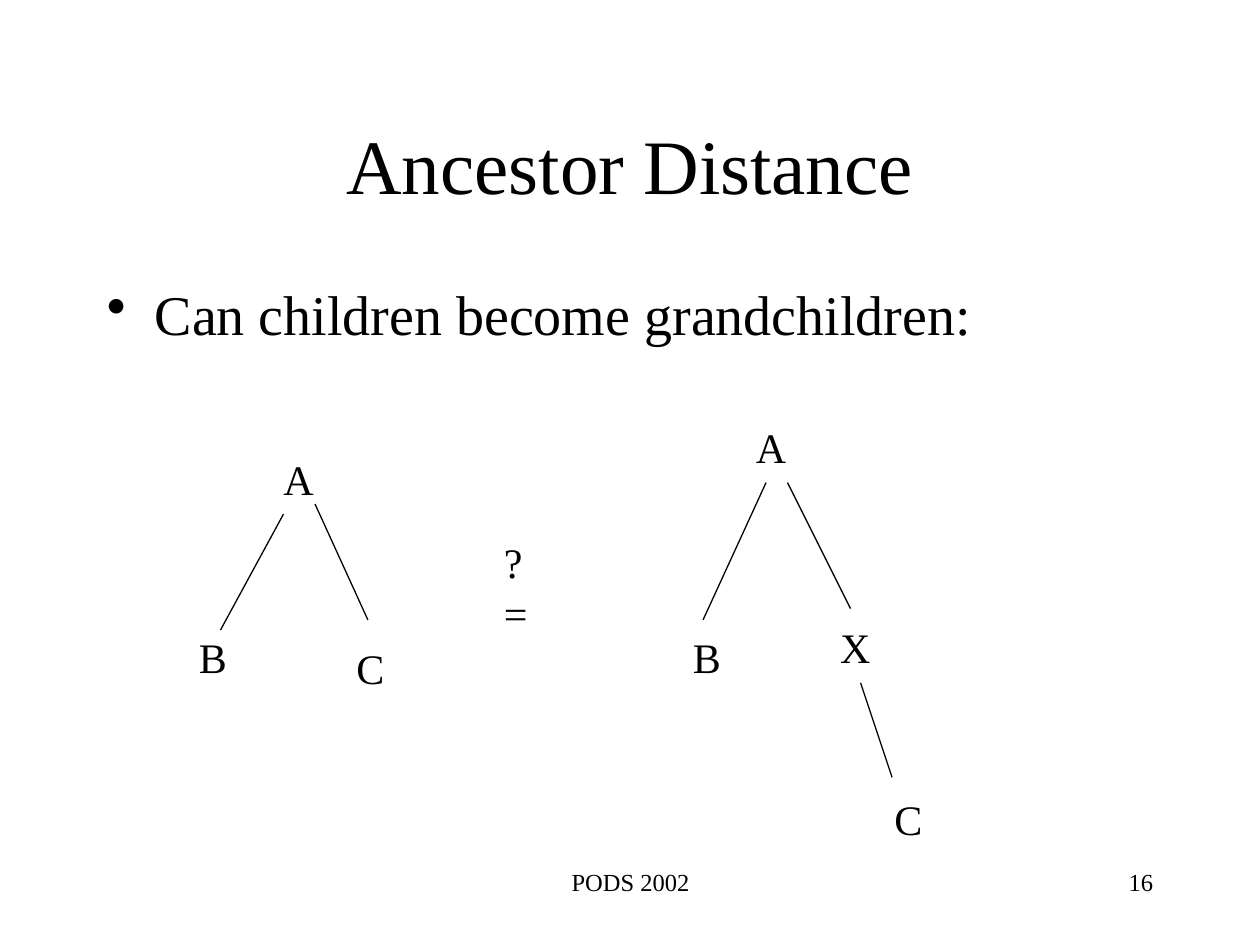
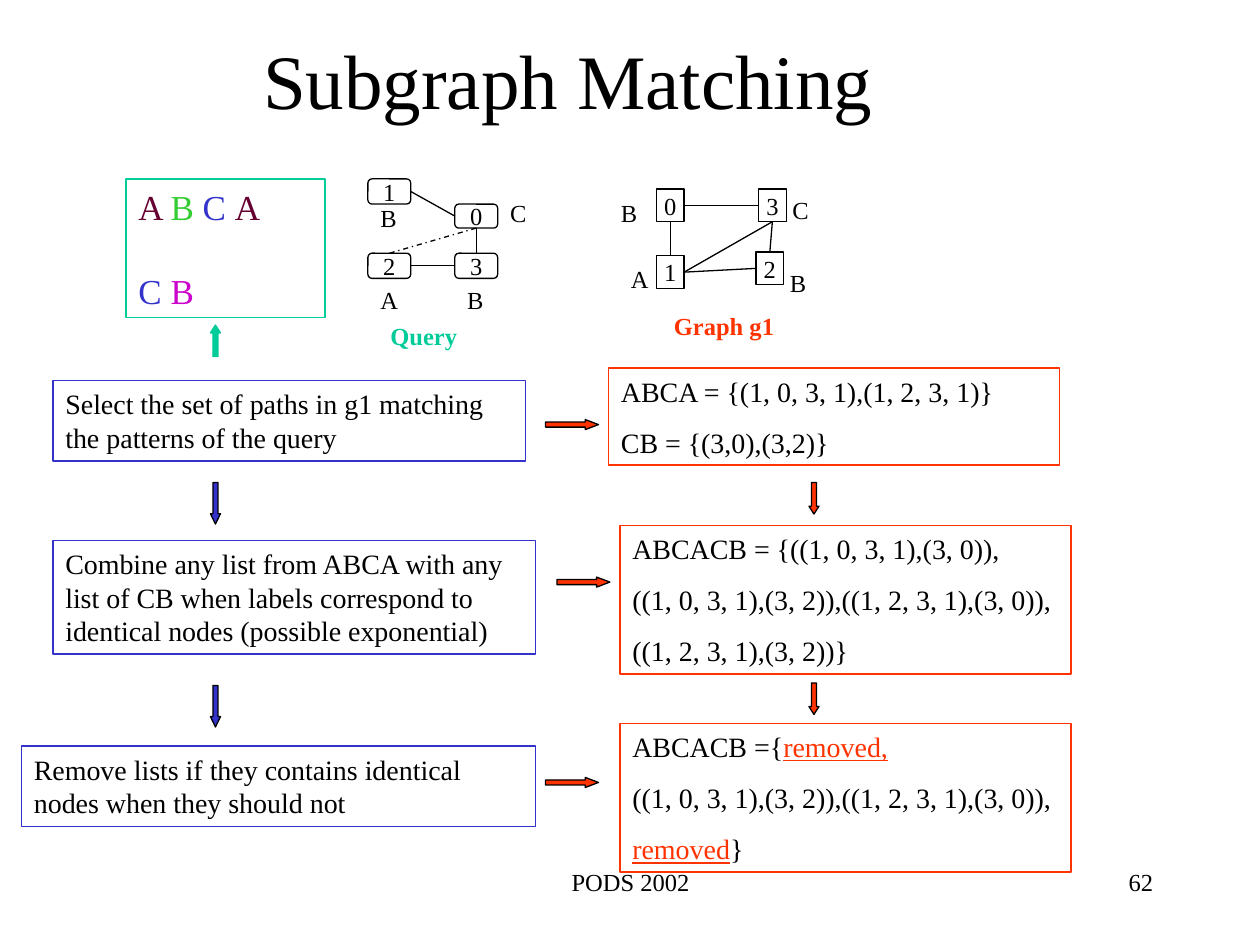
"""Build two slides on tree distance and subgraph matching."""
from dataclasses import dataclass

from lxml import etree
from pptx import Presentation
from pptx import util as u
from pptx.dml.color import RGBColor
from pptx.enum import dml, shapes, text
from pptx.oxml.ns import qn

EMU_PER_PX = 9144
TOP, LEFT, BOTTOM, RIGHT = range(4)
KIND = shapes.MSO_SHAPE


@dataclass(frozen=True)
class Theme:
    font: str = "Times New Roman"
    black: str = "000000"
    white: str = "FFFFFF"
    red: str = "FF3300"
    teal: str = "00CC99"
    blue: str = "3333CC"
    green: str = "33CC33"
    maroon: str = "660033"
    magenta: str = "CC00CC"
    title: int = 44
    body: int = 32
    node: int = 24
    pattern: int = 20
    step: int = 16
    small: int = 14
    line: float = 0.75


THEME = Theme()


def px(*lengths):
    return [u.Emu(length * EMU_PER_PX) for length in lengths]


def rgb(value):
    return RGBColor.from_string(value)


def write(shape, paragraphs, size=THEME.small, color=THEME.black, bold=False,
          align="LEFT", anchor="TOP", before=0, wrap=True, grow=False, inset=(10, 5)):
    """Fill a shape with paragraphs, each a string or a list of (text, color, underline)."""
    frame = shape.text_frame
    frame.word_wrap = wrap
    frame.auto_size = text.MSO_AUTO_SIZE.SHAPE_TO_FIT_TEXT if grow else text.MSO_AUTO_SIZE.NONE
    frame.vertical_anchor = getattr(text.MSO_ANCHOR, anchor)
    frame.margin_left = frame.margin_right = px(inset[0])[0]
    frame.margin_top = frame.margin_bottom = px(inset[1])[0]
    if isinstance(paragraphs, str):
        paragraphs = [paragraphs]
    for index, content in enumerate(paragraphs):
        paragraph = frame.add_paragraph() if index else frame.paragraphs[0]
        paragraph.alignment = getattr(text.PP_ALIGN, align)
        paragraph.space_before = u.Pt(before)
        runs = [(content, color, False)] if isinstance(content, str) else content
        for words, run_color, underline in runs:
            run = paragraph.add_run()
            run.text = words
            run.font.name = THEME.font
            run.font.size = u.Pt(size)
            run.font.bold = bold
            run.font.underline = underline
            run.font.color.rgb = rgb(run_color)
    return shape


def add_text(slide, box, paragraphs, **style):
    return write(slide.shapes.add_textbox(*px(*box)), paragraphs, **style)


def add_outline(slide, kind, box, line, fill=None):
    shape = slide.shapes.add_shape(kind, *px(*box))
    shape.shadow.inherit = False
    if fill:
        shape.fill.solid()
        shape.fill.fore_color.rgb = rgb(fill)
    else:
        shape.fill.background()
    shape.line.color.rgb = rgb(line)
    shape.line.width = u.Pt(THEME.line)
    return shape


def add_edge(slide, start=(0, 0), end=(0, 0)):
    edge = slide.shapes.add_connector(shapes.MSO_CONNECTOR.STRAIGHT, *px(*start, *end))
    edge.line.color.rgb = rgb(THEME.black)
    edge.line.width = u.Pt(THEME.line)
    etree.SubElement(edge._element.spPr, qn("a:effectLst"))
    return edge


def join(slide, first, first_side, second, second_side, dashed=False):
    edge = add_edge(slide)
    edge.begin_connect(first, first_side)
    edge.end_connect(second, second_side)
    if dashed:
        edge.line.dash_style = dml.MSO_LINE.DASH_DOT


def add_block_arrow(slide, kind, box, fill, line=THEME.black):
    """Draw a block arrow whose head takes a quarter of its length."""
    arrow = add_outline(slide, kind, box, line, fill)
    arrow.adjustments[0] = 0.5
    arrow.adjustments[1] = max(box[2:]) / (4 * min(box[2:]))


def add_numbered_nodes(slide, kind, boxes):
    return {number: write(add_outline(slide, kind, box, THEME.black), number,
                          align="CENTER", anchor="MIDDLE", wrap=False, inset=(0, 0))
            for number, box in boxes.items()}


def add_labels(slide, labels):
    for label, left, top, width in labels:
        add_text(slide, (left, top, width, 33), label, grow=True)


def add_bullet(slide, box, words):
    shape = add_text(slide, box, words, size=THEME.body, before=8)
    properties = shape.text_frame.paragraphs[0]._p.get_or_add_pPr()
    indent = px(38)[0]
    properties.set("marL", str(indent))
    properties.set("indent", str(-indent))
    etree.SubElement(properties, qn("a:buChar"), char="•")


def add_slide(presentation, title, title_box, number):
    slide = presentation.slides.add_slide(presentation.slide_layouts[6])
    slide.background.fill.solid()
    slide.background.fill.fore_color.rgb = rgb(THEME.white)
    add_text(slide, title_box, title, size=THEME.title, align="CENTER", anchor="MIDDLE")
    add_text(slide, (342, 683, 317, 50), "PODS 2002", align="CENTER")
    add_text(slide, (717, 683, 208, 50), number, align="RIGHT")
    return slide


def build_ancestor_slide(presentation):
    slide = add_slide(presentation, "Ancestor Distance", (75, 67, 850, 125), "16")
    add_bullet(slide, (75, 217, 850, 450), "Can children become grandchildren:")
    for start, end in (((225, 408), (175, 500)), ((250, 400), (292, 492)),
                       ((608, 383), (558, 492)), ((625, 383), (675, 483)),
                       ((683, 542), (708, 617))):
        add_edge(slide, start, end)
    for label, left, top in (("A", 215, 355), ("B", 148, 496), ("C", 273, 505),
                             ("A", 590, 330), ("B", 540, 496), ("X", 657, 488),
                             ("C", 700, 625)):
        add_text(slide, (left, top, 44 if label in "AX" else 42, 50), label,
                 size=THEME.node, wrap=False, grow=True)
    add_text(slide, (390, 421, 39, 90), ["?", "="], size=THEME.node, wrap=False, grow=True)


def add_query(slide):
    nodes = add_numbered_nodes(slide, KIND.ROUNDED_RECTANGLE, {
        "1": (292, 142, 34, 20), "0": (361, 162, 34, 19),
        "2": (292, 201, 34, 20), "3": (361, 201, 34, 20)})
    join(slide, nodes["0"], BOTTOM, nodes["2"], TOP, dashed=True)
    join(slide, nodes["0"], BOTTOM, nodes["3"], TOP)
    join(slide, nodes["2"], RIGHT, nodes["3"], LEFT)
    join(slide, nodes["0"], LEFT, nodes["1"], RIGHT)
    add_labels(slide, (("B", 292, 156, 46), ("C", 395, 152, 46),
                       ("A", 292, 221, 46), ("B", 361, 221, 47)))
    add_text(slide, (300, 250, 97, 34), "Query", color=THEME.teal, bold=True, grow=True)


def add_graph(slide):
    nodes = add_numbered_nodes(slide, KIND.RECTANGLE, {
        "0": (521, 150, 22, 26), "3": (602, 150, 22, 26),
        "2": (600, 200, 22, 26), "1": (521, 203, 22, 26)})
    join(slide, nodes["0"], BOTTOM, nodes["1"], TOP)
    join(slide, nodes["3"], BOTTOM, nodes["2"], TOP)
    join(slide, nodes["1"], RIGHT, nodes["2"], LEFT)
    join(slide, nodes["0"], RIGHT, nodes["3"], LEFT)
    join(slide, nodes["1"], RIGHT, nodes["3"], BOTTOM)
    add_labels(slide, (("B", 483, 152, 30), ("A", 491, 205, 30),
                       ("B", 617, 208, 31), ("C", 619, 150, 30)))
    add_text(slide, (525, 242, 147, 33), "Graph g1", color=THEME.red, bold=True, grow=True)


def add_patterns(slide):
    box = add_outline(slide, KIND.RECTANGLE, (100, 142, 158, 110), THEME.teal)
    write(box, [[("A ", THEME.maroon, False), ("B ", THEME.green, False),
                 ("C ", THEME.blue, False), ("A", THEME.maroon, False)],
                [("C ", THEME.blue, False), ("B", THEME.magenta, False)]],
          size=THEME.pattern)
    box.text_frame.paragraphs[1].space_before = u.Pt(24)


def add_steps(slide):
    middle = "((1, 0, 3, 1),(3, 2)),((1, 2, 3, 1),(3, 0)),"
    steps = (
        ((42, 302, 375, 64), THEME.blue,
         "Select the set of paths in g1 matching the patterns of the query"),
        ((42, 429, 383, 90), THEME.blue,
         "Combine any list from ABCA with any list of CB when labels correspond to "
         "identical nodes (possible exponential)"),
        ((17, 592, 408, 64), THEME.blue,
         "Remove lists if they contains identical nodes when they should not"),
        ((483, 292, 358, 77), THEME.red,
         ["ABCA = {(1, 0, 3, 1),(1, 2, 3, 1)}", "CB = {(3,0),(3,2)}"]),
        ((492, 417, 358, 118), THEME.red,
         ["ABCACB = {((1, 0, 3, 1),(3, 0)),", middle, "((1, 2, 3, 1),(3, 2))}"]),
        ((492, 574, 358, 118), THEME.red,
         [[("ABCACB ={", THEME.black, False), ("removed,", THEME.red, True)],
          middle,
          [("removed", THEME.red, True), ("}", THEME.black, False)]]),
    )
    for box, line, words in steps:
        write(add_outline(slide, KIND.RECTANGLE, box, line), words,
              size=THEME.step, before=10, grow=True)
    for left, top in ((433, 333), (442, 458), (433, 617)):
        add_block_arrow(slide, KIND.RIGHT_ARROW, (left, top, 42, 8), THEME.red)
    for top in (383, 544):
        add_block_arrow(slide, KIND.DOWN_ARROW, (167, top, 8, 33), THEME.blue)
    for top in (383, 542):
        add_block_arrow(slide, KIND.DOWN_ARROW, (642, top, 8, 25), THEME.red)
    add_block_arrow(slide, KIND.UP_ARROW, (167, 258, 8, 25), THEME.teal, THEME.teal)


def build_subgraph_slide(presentation):
    slide = add_slide(presentation, "Subgraph Matching ", (0, 0, 917, 125), "62")
    add_graph(slide)
    add_patterns(slide)
    add_steps(slide)
    add_query(slide)


def main():
    presentation = Presentation()
    presentation.slide_width, presentation.slide_height = px(1000, 750)
    build_ancestor_slide(presentation)
    build_subgraph_slide(presentation)
    presentation.save("out.pptx")


if __name__ == "__main__":
    main()
